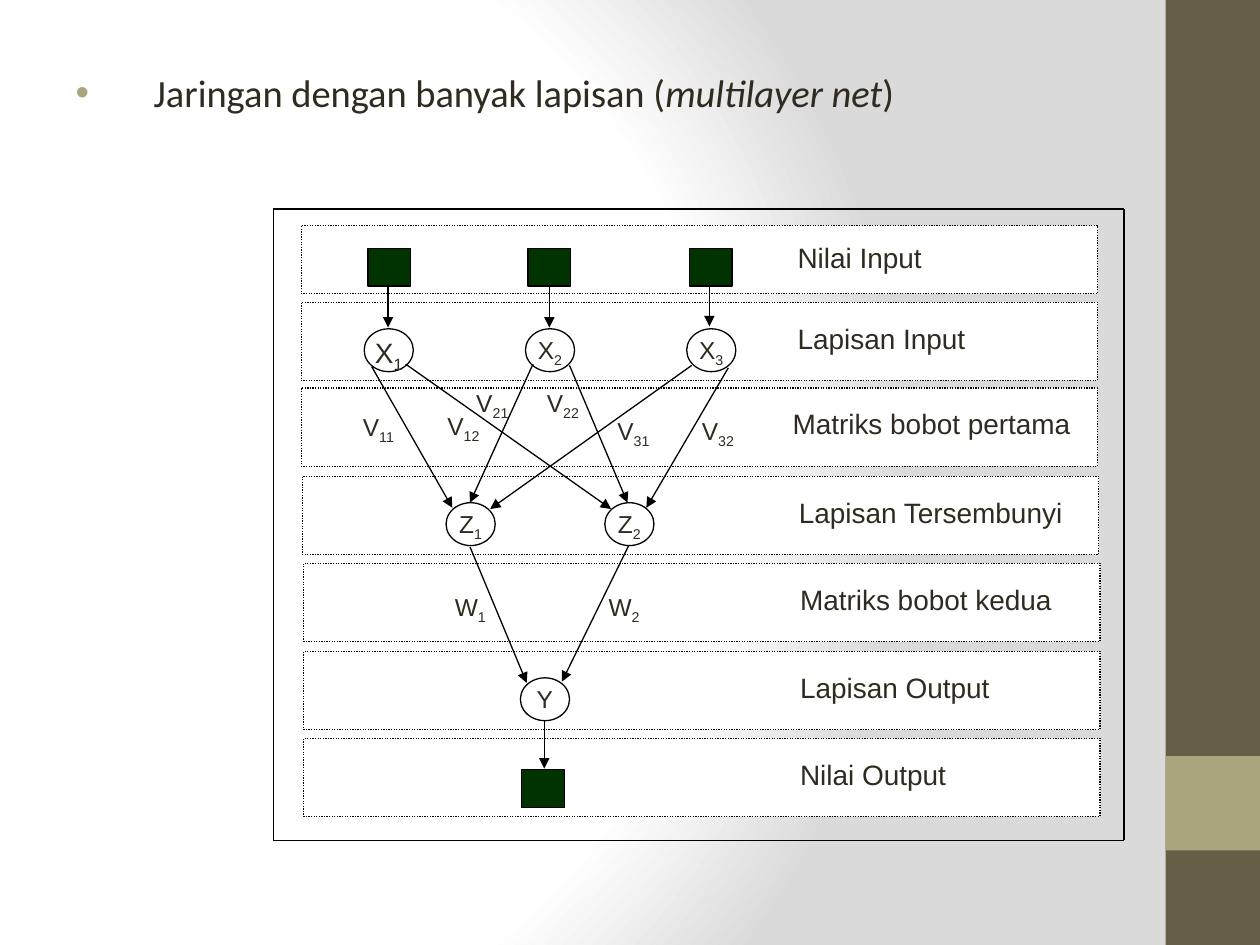
from pptx import Presentation, oxml
from pptx import util as u
from pptx.dml import color
from pptx.enum import dml, shapes, text
from pptx.oxml import ns

THEME = {
    "ink": "2F2B20", "line": "000000", "band": "FFFFFF", "node": "003300",
    "strip": "675E47", "accent": "A9A57C", "fade": "DADADA",
    "head": 22, "label": 16, "small": 14, "rule": 0.75,
    "sans": "Arial", "body": "Calibri",
}
NS = ns.nsdecls("a")
INCH = u.Inches


def write(shape, runs, size, font=THEME["sans"], align=text.PP_ALIGN.LEFT,
          pad=(0, 0, 0, 0)):
    """Fill a shape with (text, style) runs; style is "", "sub" or "italic"."""
    frame = shape.text_frame
    frame.word_wrap = True
    frame.vertical_anchor = text.MSO_ANCHOR.TOP
    (frame.margin_left, frame.margin_top,
     frame.margin_right, frame.margin_bottom) = map(INCH, pad)
    para = frame.paragraphs[0]
    para.alignment = align
    for words, style in runs:
        run = para.add_run()
        run.text = words
        run.font.size = u.Pt(size)
        run.font.name = font
        run.font.color.rgb = color.RGBColor.from_string(THEME["ink"])
        if style == "italic":
            run.font.italic = True
        elif style == "sub":
            run._r.get_or_add_rPr().set("baseline", "-25000")
    return para


def draw(kind, left, top, width, height, fill=None, line="line"):
    """Add a plain preset shape, its colours named in the theme."""
    shape = slide.shapes.add_shape(kind, *map(INCH, (left, top, width, height)))
    shape.shadow.inherit = False
    if fill:
        shape.fill.solid()
        shape.fill.fore_color.rgb = color.RGBColor.from_string(THEME[fill])
    else:
        shape.fill.background()
    if line:
        shape.line.color.rgb = color.RGBColor.from_string(THEME[line])
        shape.line.width = u.Pt(THEME["rule"])
    else:
        shape.line.fill.background()
    return shape


RECT, OVAL = shapes.MSO_SHAPE.RECTANGLE, shapes.MSO_SHAPE.OVAL
deck = Presentation()
deck.slide_width, deck.slide_height = INCH(10), INCH(7.5)
slide = deck.slides.add_slide(deck.slide_layouts[1])
title = slide.shapes.title
title._element.getparent().remove(title._element)

# Background: circular fade from white to grey
slide.background.fill.gradient()
grad = slide._element.find(".//" + ns.qn("a:gradFill"))
stops = "".join(
    f'<a:gs pos="{pos * 1000}"><a:srgbClr val="{THEME[name]}"/></a:gs>'
    for pos, name in ((0, "band"), (75, "band"), (100, "fade")))
grad.getparent().replace(grad, oxml.parse_xml(
    f'<a:gradFill {NS} rotWithShape="1"><a:gsLst>{stops}</a:gsLst>'
    '<a:path path="circle"><a:fillToRect l="20000" t="50000" r="100000" '
    'b="50000"/></a:path></a:gradFill>'))

# Side strip
draw(RECT, 9.25, 0, 0.75, 7.5, "strip", None)
draw(RECT, 9.25, 6, 0.75, 0.75, "accent", None)

# Bulleted heading
body = slide.placeholders[1]
body.left, body.top, body.width, body.height = map(INCH, (0.5, 0.5, 9, 6.2))
para = write(body, [("Jaringan dengan banyak lapisan (", ""),
                    ("multilayer net", "italic"), (")", "")],
             THEME["head"], THEME["body"], pad=(0.1, 0.05, 0.1, 0.05))
para.space_before = u.Pt(0)
props = para._p.get_or_add_pPr()
props.set("marL", str(INCH(0.62)))
props.set("indent", str(-INCH(0.62)))
for mark in (f'<a:buClr {NS}><a:srgbClr val="{THEME["accent"]}"/></a:buClr>',
             f'<a:buFont {NS} typeface="Arial"/>',
             f'<a:buChar {NS} char="•"/>'):
    props.append(oxml.parse_xml(mark))

# Layer bands
for name, left, top, height, inset in (
        ("Nilai Output", 2.41, 5.86, 0.62, 3.94),
        ("Lapisan Output", 2.41, 5.17, 0.62, 3.94),
        ("Matriks bobot kedua", 2.41, 4.47, 0.62, 3.94),
        ("Lapisan Tersembunyi", 2.4, 3.78, 0.62, 3.94),
        ("Matriks bobot pertama", 2.39, 3.08, 0.62, 3.9),
        ("Lapisan Input", 2.39, 2.4, 0.62, 3.94),
        ("Nilai Input", 2.39, 1.79, 0.54, 3.94)):
    band = draw(RECT, left, top, 6.32, height, "band")
    band.line.dash_style = dml.MSO_LINE.ROUND_DOT
    write(band, [(name, "")], THEME["label"],
          pad=(inset, 0.15 if height > 0.6 else 0.12, 0.1, 0.05))

# Input and output values
for left, top in ((2.92, 1.97), (4.19, 1.97), (5.47, 1.97), (4.14, 6.11)):
    draw(RECT, left, top, 0.34, 0.3, "node")

# Neurons
for name, sub, left, top, size in (
        ("X", "1", 2.89, 2.61, "label"), ("X", "2", 4.17, 2.61, "small"),
        ("X", "3", 5.45, 2.61, "small"), ("Z", "1", 3.54, 3.99, "small"),
        ("Z", "2", 4.8, 3.99, "small"), ("Y", "", 4.13, 5.38, "small")):
    runs = [(name, "")] + ([(sub, "sub")] if sub else [])
    write(draw(OVAL, left, top, 0.39, 0.34), runs, THEME[size],
          align=text.PP_ALIGN.CENTER)

# Weight labels
for name, sub, left, top in (
        ("V", "11", 2.88, 3.27), ("V", "12", 3.55, 3.26),
        ("V", "21", 3.78, 3.08), ("V", "22", 4.34, 3.08),
        ("V", "31", 4.9, 3.3), ("V", "32", 5.57, 3.3),
        ("W", "1", 3.61, 4.7), ("W", "2", 4.83, 4.7)):
    box = slide.shapes.add_textbox(*map(INCH, (left, top, 0.36, 0.31)))
    write(box, [(name, ""), (sub, "sub")], THEME["small"])

# Arrows between layers, then the plain lines of the outer frame
arrows = [
    (3.08, 2.26, 3.08, 2.6), (4.36, 2.26, 4.36, 2.6), (5.63, 2.24, 5.63, 2.59),
    (4.23, 2.89, 3.73, 3.99), (5.78, 2.92, 5.13, 4.03), (5.49, 2.9, 3.89, 4.04),
    (2.95, 2.91, 3.59, 4.03), (3.22, 2.89, 4.85, 4.04), (4.52, 2.9, 4.98, 3.99),
    (3.73, 4.34, 4.18, 5.42), (4.99, 4.33, 4.46, 5.41), (4.32, 5.72, 4.32, 6.1)]
frame = [(2.17, 1.66, 8.92, 1.66), (8.92, 1.66, 8.92, 6.67),
         (8.92, 6.67, 2.17, 6.67), (2.17, 1.66, 2.17, 6.67)]
for ends in arrows + frame:
    link = slide.shapes.add_connector(shapes.MSO_CONNECTOR.STRAIGHT,
                                      *map(INCH, ends))
    link.line.color.rgb = color.RGBColor.from_string(THEME["line"])
    link.line.width = u.Pt(THEME["rule"])
    if ends in arrows:
        link.line._get_or_add_ln().append(
            oxml.parse_xml(f'<a:tailEnd {NS} type="triangle"/>'))
    link._element.spPr.append(oxml.parse_xml(f"<a:effectLst {NS}/>"))

deck.save("out.pptx")
